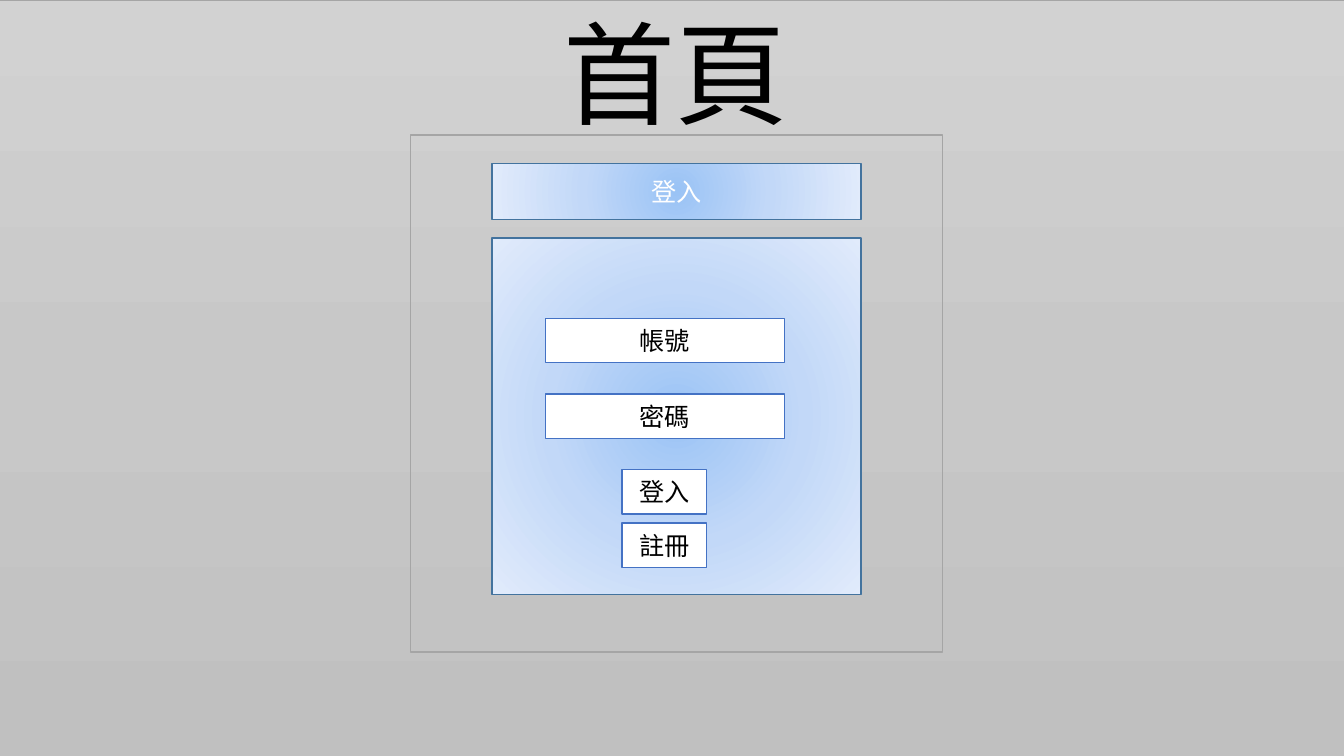
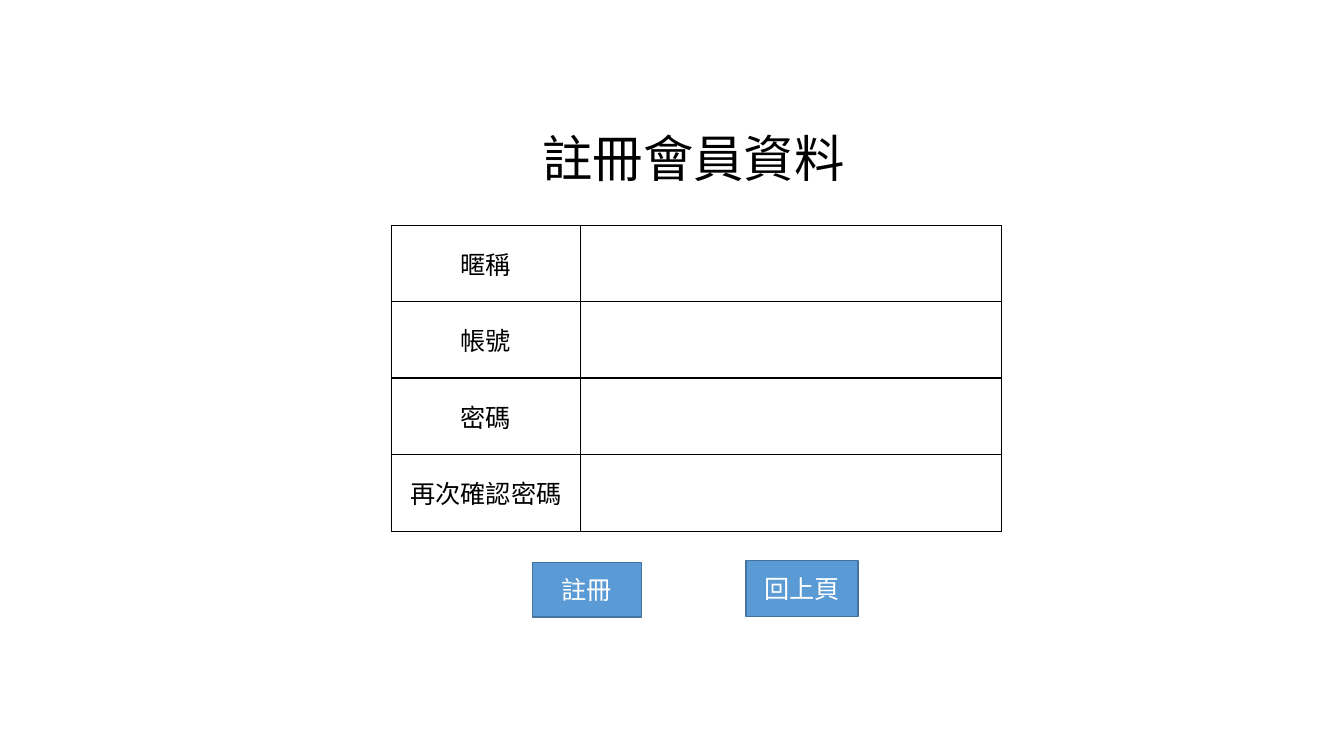
from lxml.etree import SubElement
from pptx import Presentation
from pptx.dml.color import RGBColor
from pptx.enum.shapes import MSO_SHAPE
from pptx.enum.text import MSO_ANCHOR, PP_ALIGN
from pptx.oxml import parse_xml
from pptx.oxml.ns import nsdecls, qn
from pptx.util import Emu, Pt

# Shared look: 100 px to the inch
EMU_PER_PX = 9144
LATIN_FONT = "Calibri"
CJK_FONT = "Noto Sans CJK SC"
BLACK, WHITE = "000000", "FFFFFF"
GRAY_LINE, FIELD_LINE, BUTTON_LINE = "A5A5A5", "4472C4", "43739E"
BUTTON_FILL = "5B9BD5"
GRAY_STOPS = ("D2D2D2", "C8C8C8", "C0C0C0")
BLUE_STOPS = ("9AC3F5", "C2D8F8", "E1EBFB")
DOWNWARD = '<a:lin ang="5400000" scaled="0"/>'
FROM_CENTRE = ('<a:path path="circle"><a:fillToRect l="50000" t="50000" '
               'r="50000" b="50000"/></a:path>')


def px(length):
    return Emu(length * EMU_PER_PX)


def color(value):
    return RGBColor.from_string(value)


def set_text(frame, text, size=18, font=LATIN_FONT, fill=BLACK,
             align=PP_ALIGN.CENTER):
    paragraph = frame.paragraphs[0]
    paragraph.alignment = align
    run = paragraph.add_run()
    run.text = text
    run.font.size = Pt(size)
    run.font.name = font
    run.font.color.rgb = color(fill)
    east_asian = SubElement(run.font._element, qn("a:ea"))
    east_asian.set("typeface", CJK_FONT)


def set_gradient(shape, stops, direction):
    """Fill with evenly spaced stops, along a line or out from the centre."""
    last = len(stops) - 1
    stop_xml = "".join(
        f'<a:gs pos="{100000 * index // last}"><a:srgbClr val="{stop}"/></a:gs>'
        for index, stop in enumerate(stops))
    gradient = parse_xml(f'<a:gradFill {nsdecls("a")} rotWithShape="1">'
                         f'<a:gsLst>{stop_xml}</a:gsLst>{direction}</a:gradFill>')
    shape.fill.gradient()
    properties = shape._element.spPr
    properties.replace(properties.find(qn("a:gradFill")), gradient)


def add_box(shapes, left, top, width, height, line, fill=None, line_width=1,
            text=None, anchor=MSO_ANCHOR.MIDDLE, **text_format):
    shape = shapes.add_shape(MSO_SHAPE.RECTANGLE, px(left), px(top),
                             px(width), px(height))
    shape.shadow.inherit = False
    shape.line.color.rgb = color(line)
    shape.line.width = Pt(line_width)
    if fill:
        shape.fill.solid()
        shape.fill.fore_color.rgb = color(fill)
    else:
        shape.fill.background()
    shape.text_frame.vertical_anchor = anchor
    if text:
        set_text(shape.text_frame, text, **text_format)
    return shape


def set_borders(cell, line, width):
    properties = cell._tc.get_or_add_tcPr()
    for position, side in enumerate(("lnL", "lnR", "lnT", "lnB")):
        properties.insert(position, parse_xml(
            f'<a:{side} {nsdecls("a")} w="{Pt(width)}"><a:solidFill>'
            f'<a:srgbClr val="{line}"/></a:solidFill></a:{side}>'))


def add_form_table(slide, left, top, widths, heights, labels):
    table = slide.shapes.add_table(
        len(heights), len(widths), px(left), px(top),
        px(sum(widths)), px(sum(heights))).table
    table.first_row = table.horz_banding = False
    for column, width in zip(table.columns, widths):
        column.width = px(width)
    for row, height in zip(table.rows, heights):
        row.height = px(height)
    for cell in table.iter_cells():
        cell.fill.background()
        cell.vertical_anchor = MSO_ANCHOR.MIDDLE
        set_borders(cell, BLACK, 1)
    for index, label in enumerate(labels):
        set_text(table.cell(index, 0).text_frame, label)


def build_home(slide):
    # Backdrop carrying the page title
    backdrop = add_box(slide.shapes, -21, 0, 1383, 750, GRAY_LINE,
                       line_width=0.5, text="首頁", size=80,
                       anchor=MSO_ANCHOR.TOP)
    set_gradient(backdrop, GRAY_STOPS, DOWNWARD)

    # Login panel: frame, header and body
    panel = slide.shapes.add_group_shape().shapes
    add_box(panel, 407, 134, 528, 513, GRAY_LINE)
    for top, height, text in ((162, 56, "登入"), (236, 354, None)):
        block = add_box(panel, 488, top, 366, height, BUTTON_LINE,
                        text=text, fill=WHITE)
        set_gradient(block, BLUE_STOPS, FROM_CENTRE)
        for run in block.text_frame.paragraphs[0].runs:
            run.font.color.rgb = color(WHITE)

    # Input fields and buttons
    for left, top, width, text in ((541, 316, 237, "帳號"),
                                   (541, 391, 237, "密碼"),
                                   (617, 466, 84, "登入"),
                                   (617, 519, 84, "註冊")):
        add_box(panel, left, top, width, 44, FIELD_LINE, fill=WHITE, text=text)


def build_registration(slide):
    # Heading
    heading = slide.shapes.add_textbox(px(528), px(121), px(323), px(71))
    heading.text_frame.word_wrap = False
    set_text(heading.text_frame, "註冊會員資料", size=36, font=CJK_FONT,
             align=PP_ALIGN.LEFT)

    # Member form
    add_form_table(slide, 388, 224, (188, 417), (75, 76, 76, 76),
                   ("暱稱", "帳號", "密碼", "再次確認密碼"))

    # Buttons
    for left, top, width, height, text in ((528, 558, 108, 54, "註冊"),
                                           (740, 556, 111, 56, "回上頁")):
        add_box(slide.shapes, left, top, width, height, BUTTON_LINE,
                fill=BUTTON_FILL, text=text, **{"size": 18})
        label = slide.shapes[-1].text_frame.paragraphs[0].runs[0]
        label.font.color.rgb = color(WHITE)


def main():
    presentation = Presentation()
    presentation.slide_width, presentation.slide_height = px(1333), px(750)
    blank = presentation.slide_layouts[6]
    for build in (build_home, build_registration):
        build(presentation.slides.add_slide(blank))
    presentation.save("out.pptx")


if __name__ == "__main__":
    main()
